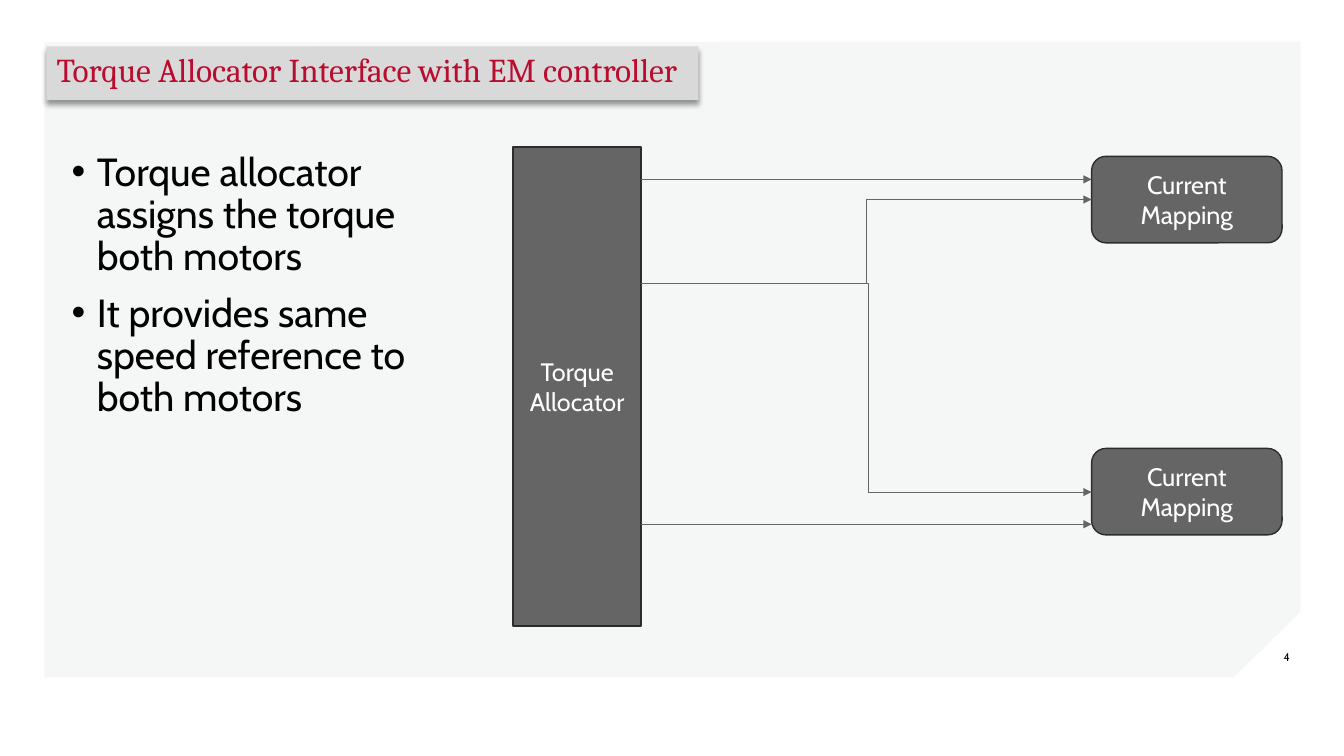
"""Build the slide on the torque allocator interface with the EM controller."""
from dataclasses import dataclass

from lxml import etree
from pptx import Presentation
from pptx.dml.color import RGBColor
from pptx.enum.shapes import MSO_CONNECTOR, MSO_SHAPE
from pptx.enum.text import MSO_ANCHOR, MSO_AUTO_SIZE, PP_ALIGN
from pptx.oxml.ns import qn
from pptx.util import Cm, Pt

RECT, ROUND = MSO_SHAPE.RECTANGLE, MSO_SHAPE.ROUNDED_RECTANGLE
STRAIGHT, ELBOW = MSO_CONNECTOR.STRAIGHT, MSO_CONNECTOR.ELBOW
MIDDLE, NO_FIT = MSO_ANCHOR.MIDDLE, MSO_AUTO_SIZE.NONE
LEFT, CENTER, RIGHT = PP_ALIGN.LEFT, PP_ALIGN.CENTER, PP_ALIGN.RIGHT

BLACK = RGBColor(0x00, 0x00, 0x00)
WHITE = RGBColor(0xFF, 0xFF, 0xFF)
RED = RGBColor(0xBA, 0x0C, 0x2F)
SILVER = RGBColor(0xD9, 0xD9, 0xD9)
PANEL = RGBColor(0xA2, 0xAA, 0xAD)
GRAY = RGBColor(0x65, 0x65, 0x65)
DARK = RGBColor(0x2C, 0x2C, 0x2C)

TITLE_FONT = {"name": "Cambria", "size": Pt(23.8), "bold": False}
BODY_FONT = {"name": "Cabin", "size": Pt(28)}
BLOCK_FONT = {"name": "Cabin", "size": Pt(18)}
NUMBER_FONT = {"name": "Cabin", "size": Pt(8)}

PANEL_POINTS = [(1.12, 1.07), (1.12, 17.07), (31.09, 17.07), (32.77, 15.42), (32.77, 1.05)]
BULLETS = [
    "Torque allocator assigns the torque both motors",
    "It provides same speed reference to both motors",
]


@dataclass
class Block:
    """A labelled box, in centimetres."""
    text: str
    kind: MSO_SHAPE
    left: float
    top: float
    width: float
    height: float


@dataclass
class Signal:
    """An arrow, in centimetres, with the bend as a share of its width."""
    kind: MSO_CONNECTOR
    x1: float
    y1: float
    x2: float
    y2: float
    bend: float = 0.5


ALLOCATOR_RIGHT, BRANCH, MAPPING_LEFT = 16.16, 21.84, 27.51
BLOCKS = [
    Block("Current Mapping", ROUND, MAPPING_LEFT, 3.94, 4.8, 2.18),
    Block("Current Mapping", ROUND, MAPPING_LEFT, 11.3, 4.8, 2.18),
    Block("Torque Allocator", RECT, 12.93, 3.71, 3.23, 12.07),
]
SIGNALS = [
    Signal(STRAIGHT, ALLOCATOR_RIGHT, 4.52, MAPPING_LEFT, 4.52),
    Signal(STRAIGHT, ALLOCATOR_RIGHT, 13.21, MAPPING_LEFT, 13.21),
    Signal(ELBOW, ALLOCATOR_RIGHT, 7.14, MAPPING_LEFT, 5.03),
    Signal(ELBOW, BRANCH, 7.14, MAPPING_LEFT, 12.4, 0.01),
]


def place(sp, left: float, top: float, width: float, height: float) -> None:
    """Move and size a shape, in centimetres."""
    box = {"left": left, "top": top, "width": width, "height": height}
    for name, value in box.items():
        setattr(sp, name, Cm(value))


def write(p, text: str, fmt: dict, color: RGBColor, align: PP_ALIGN) -> None:
    """Add a formatted run to a paragraph."""
    p.alignment = align
    r = p.add_run()
    r.text = text
    for name, value in fmt.items():
        setattr(r.font, name, value)
    r.font.color.rgb = color


def add_panel(s) -> None:
    """Draw the pale panel with the cut corner behind everything."""
    points = [(Cm(x), Cm(y)) for x, y in PANEL_POINTS]
    builder = s.shapes.build_freeform(*points[0])
    builder.add_line_segments(points[1:], close=True)
    sp = builder.convert_to_shape()
    sp.shadow.inherit = False
    sp.fill.solid()
    sp.fill.fore_color.rgb = PANEL
    sp.line.fill.background()
    color = sp._element.spPr.find(qn("a:solidFill"))[0]
    etree.SubElement(color, qn("a:alpha"), val="10000")
    s.shapes._spTree.insert(2, sp._element)


def add_title(s) -> None:
    """Turn the title placeholder into a rounded, shadowed tab."""
    sp = s.shapes.title
    place(sp, 1.17, 1.17, 16.43, 1.35)
    spPr = sp._element.spPr
    geom = etree.SubElement(spPr, qn("a:prstGeom"), prst="roundRect")
    etree.SubElement(geom, qn("a:avLst"))
    sp.fill.solid()
    sp.fill.fore_color.rgb = SILVER
    effects = etree.SubElement(spPr, qn("a:effectLst"))
    shadow = etree.SubElement(effects, qn("a:outerShdw"), blurRad=str(Pt(4)),
                              dist=str(Pt(3)), dir="5400000", rotWithShape="0")
    color = etree.SubElement(shadow, qn("a:srgbClr"), val=str(BLACK))
    etree.SubElement(color, qn("a:alpha"), val="40000")
    tf = sp.text_frame
    tf.auto_size, tf.vertical_anchor = NO_FIT, MIDDLE
    p = tf.paragraphs[0]
    p.line_spacing = 0.8
    write(p, "Torque Allocator Interface with EM controller", TITLE_FONT, RED, LEFT)


def add_body(s) -> None:
    """Fill the body placeholder with the bullets."""
    sp = s.placeholders[1]
    place(sp, 1.55, 3.71, 10.52, 11.15)
    tf = sp.text_frame
    tf.auto_size = NO_FIT
    for i, text in enumerate(BULLETS):
        p = tf.add_paragraph() if i else tf.paragraphs[0]
        p.line_spacing, p.space_before = 0.9, Pt(10 if i else 0)
        pPr = p._p.get_or_add_pPr()
        pPr.set("marL", str(Cm(0.64)))
        pPr.set("indent", str(Cm(-0.64)))
        etree.SubElement(pPr, qn("a:buFont"), typeface="Arial")
        etree.SubElement(pPr, qn("a:buChar"), char="•")
        write(p, text, BODY_FONT, BLACK, LEFT)


def add_block(s, block: Block) -> None:
    """Draw one labelled box."""
    sp = s.shapes.add_shape(block.kind, 0, 0, 0, 0)
    place(sp, block.left, block.top, block.width, block.height)
    sp.shadow.inherit = False
    sp.fill.solid()
    sp.fill.fore_color.rgb = GRAY
    sp.line.color.rgb = DARK
    sp.line.width = Pt(1)
    tf = sp.text_frame
    tf.word_wrap, tf.vertical_anchor = True, MIDDLE
    write(tf.paragraphs[0], block.text, BLOCK_FONT, WHITE, CENTER)


def add_signal(s, signal: Signal) -> None:
    """Draw one arrow."""
    ends = (Cm(v) for v in (signal.x1, signal.y1, signal.x2, signal.y2))
    line = s.shapes.add_connector(signal.kind, *ends)
    line.line.color.rgb = GRAY
    line.line.width = Pt(0.5)
    spPr = line._element.spPr
    etree.SubElement(spPr.find(qn("a:ln")), qn("a:tailEnd"), type="triangle")
    etree.SubElement(spPr, qn("a:effectLst"))
    if signal.kind == ELBOW:
        guides = spPr.find(qn("a:prstGeom")).find(qn("a:avLst"))
        etree.SubElement(guides, qn("a:gd"), name="adj1",
                         fmla=f"val {round(signal.bend * 100000)}")


def add_number(s) -> None:
    """Write the slide number in the cut corner."""
    sp = s.shapes.add_textbox(Cm(31.39), Cm(16.05), Cm(1.37), Cm(1.02))
    tf = sp.text_frame
    tf.word_wrap, tf.vertical_anchor = True, MIDDLE
    write(tf.paragraphs[0], "4", NUMBER_FONT, BLACK, RIGHT)


def main() -> None:
    """Build and save the slide."""
    prs = Presentation()
    prs.slide_width, prs.slide_height = Cm(33.87), Cm(19.05)
    s = prs.slides.add_slide(prs.slide_layouts[1])
    add_panel(s)
    add_number(s)
    add_title(s)
    for block in BLOCKS:
        add_block(s, block)
    for signal in SIGNALS:
        add_signal(s, signal)
    add_body(s)
    prs.save("out.pptx")


if __name__ == "__main__":
    main()
